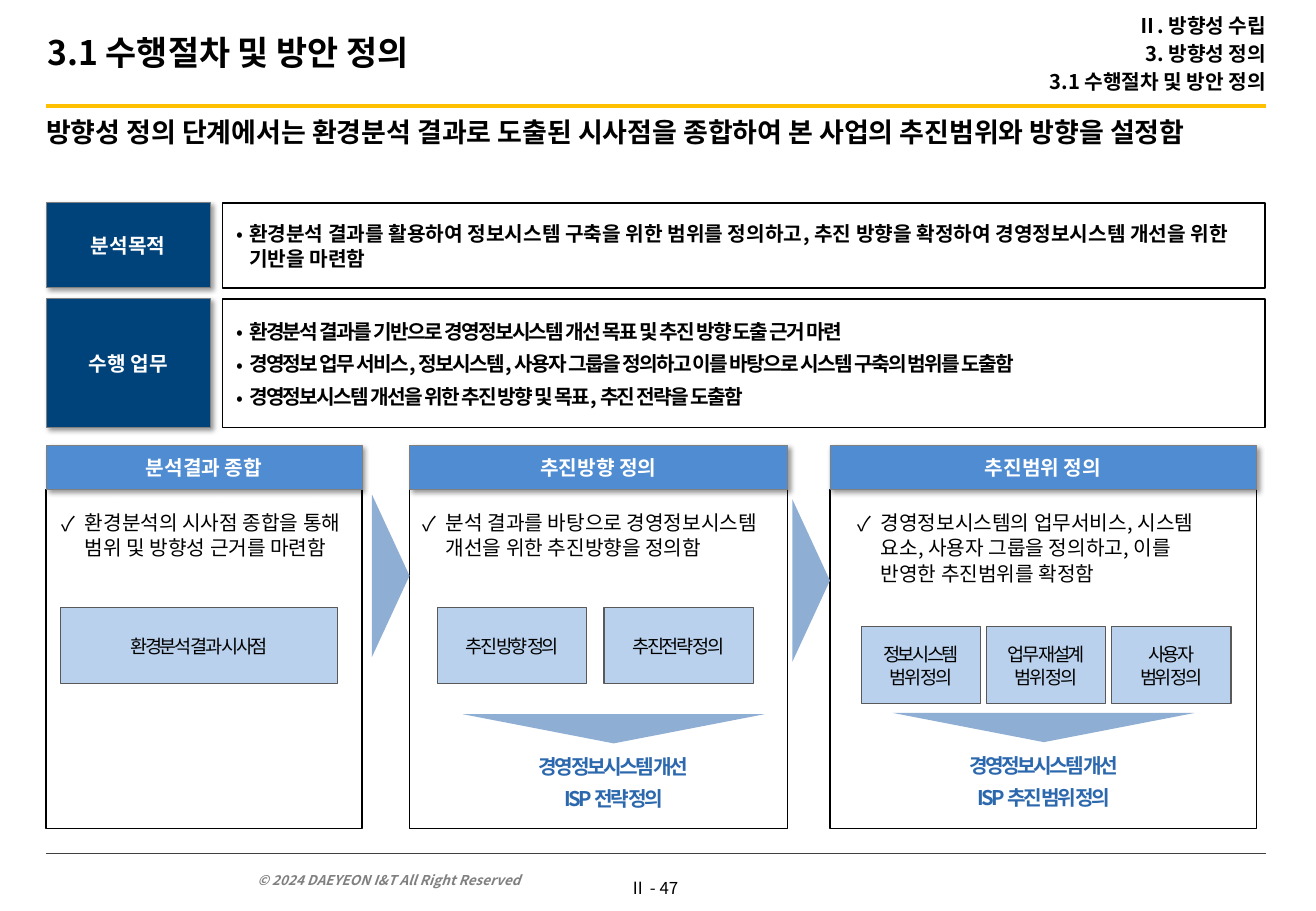
from lxml import etree
from pptx import Presentation
from pptx.dml.color import RGBColor
from pptx.enum.shapes import MSO_CONNECTOR, MSO_SHAPE
from pptx.enum.text import MSO_ANCHOR, PP_ALIGN
from pptx.oxml.ns import qn
from pptx.util import Inches, Pt

RECT, TRIANGLE = MSO_SHAPE.RECTANGLE, MSO_SHAPE.ISOSCELES_TRIANGLE
STRAIGHT = MSO_CONNECTOR.STRAIGHT
TOP, MIDDLE, BOTTOM = MSO_ANCHOR.TOP, MSO_ANCHOR.MIDDLE, MSO_ANCHOR.BOTTOM
LEFT, CENTER, RIGHT, JUSTIFY = PP_ALIGN.LEFT, PP_ALIGN.CENTER, PP_ALIGN.RIGHT, PP_ALIGN.JUSTIFY
FONT = "Noto Sans CJK KR"
COLORS = {"black": "000000", "white": "FFFFFF", "navy": "00437A", "blue": "508CD2",
          "tile": "B9D1ED", "arrow": "8FAED3", "goal": "2C68AD", "gold": "FFC000",
          "gray": "808080", "rule": "404040", "edge": "595959"}

# Page grid in inches
MARGIN, EDGE = 0.38, 10.42
HEAD_TOP, HEAD_HEIGHT = 3.67, 0.36
PANEL_TOP, PANEL_BOTTOM = HEAD_TOP + HEAD_HEIGHT, 6.82
TILE_HEIGHT = 0.63
DOWN_WIDTH, DOWN_HEIGHT = 2.48, 0.24
NEXT_WIDTH, NEXT_HEIGHT = 1.34, 0.31

deck = Presentation()
deck.slide_width, deck.slide_height = Inches(10.83), Inches(7.5)
page = deck.slides.add_slide(deck.slide_layouts[6])


def add_text(area, lines, size=12, color="black", bold=False, italic=False, align=LEFT,
             anchor=TOP, insets=(0.1, 0.05, 0.1, 0.05), spacing=None, before=0,
             tracking=0, bullet=None, indent=0):
    """Fill a (left, top, width, height) area or an existing shape with paragraphs."""
    box = page.shapes.add_textbox(*map(Inches, area)) if isinstance(area, tuple) else area
    frame = box.text_frame
    frame.text = "\n".join(lines)
    frame.word_wrap = True
    frame.vertical_anchor = anchor
    (frame.margin_left, frame.margin_top,
     frame.margin_right, frame.margin_bottom) = map(Inches, insets)
    for number, para in enumerate(frame.paragraphs):
        para.alignment = align
        if spacing:
            para.line_spacing = spacing
        if number and before:
            para.space_before = Pt(before)
        if bullet:
            props = para._p.get_or_add_pPr()
            props.set("marL", str(Inches(indent)))
            props.set("indent", str(-Inches(indent)))
            etree.SubElement(props, qn("a:buFont"), typeface=FONT)
            etree.SubElement(props, qn("a:buChar"), char=bullet)
        for span in para.runs:
            font = span.font
            font.size, font.bold, font.italic, font.name = Pt(size), bold, italic, FONT
            font.color.rgb = RGBColor.from_string(COLORS[color])
            props = span._r.get_or_add_rPr()
            etree.SubElement(props, qn("a:ea"), typeface=FONT)
            if tracking:
                props.set("spc", str(int(tracking * 100)))


def add_block(kind, left, top, width, height, fill=None, line=None, weight=1, shadow=False):
    block = page.shapes.add_shape(kind, *map(Inches, (left, top, width, height)))
    block.shadow.inherit = False
    if fill:
        block.fill.solid()
        block.fill.fore_color.rgb = RGBColor.from_string(COLORS[fill])
    else:
        block.fill.background()
    if line:
        block.line.color.rgb = RGBColor.from_string(COLORS[line])
        block.line.width = Pt(weight)
    else:
        block.line.fill.background()
    if shadow:
        effects = block._element.spPr.find(qn("a:effectLst"))
        outer = etree.SubElement(effects, qn("a:outerShdw"), blurRad=str(Pt(3)),
                                 dist=str(Pt(2)), dir=str(45 * 60000), algn="tl", rotWithShape="0")
        shade = etree.SubElement(outer, qn("a:srgbClr"), val=COLORS["black"])
        etree.SubElement(shade, qn("a:alpha"), val="40000")
    return block


# Header and footer rules
for y, color, weight in ((0.87, "gold", 2.5), (7.03, "rule", 0.5)):
    rule = page.shapes.add_connector(STRAIGHT, *map(Inches, (MARGIN, y, EDGE, y)))
    rule.line.color.rgb = RGBColor.from_string(COLORS[color])
    rule.line.width = Pt(weight)
    etree.SubElement(rule._element.spPr, qn("a:effectLst"))

# Footer
add_text((5.12, 7.18, 0.8, 0.27), ["Ⅱ - 47"], size=10, insets=(0.06, 0.05, 0.06, 0.05))
add_text((2.02, 7.09, 3.02, 0.27), ["© 2024 DAEYEON I&T All Right Reserved"], size=8,
         color="gray", bold=True, italic=True, anchor=BOTTOM)

# Title, breadcrumb and key message
add_text((0.39, 0, 5.03, 0.86), ["3.1 수행절차 및 방안 정의"], size=20, bold=True,
         anchor=MIDDLE, insets=(0, 0.05, 0.1, 0.05))
add_text((5.42, 0, 5, 0.88), ["Ⅱ. 방향성 수립", "3. 방향성 정의", "3.1 수행절차 및 방안 정의"],
         bold=True, align=RIGHT, anchor=MIDDLE, insets=(0, 0.05, 0, 0.05), before=2.4)
add_text((MARGIN, 0.95, EDGE - MARGIN, 0.68),
         ["방향성 정의 단계에서는 환경분석 결과로 도출된 시사점을 종합하여 본 사업의 추진범위와 방향을 설정함"],
         size=16, bold=True, align=JUSTIFY, insets=(0, 0, 0, 0))

# Purpose and task rows
summary_rows = [
    ("분석목적", 1.67, 0.7, 0,
     ["환경분석 결과를 활용하여 정보시스템 구축을 위한 범위를 정의하고, 추진 방향을 확정하여 경영정보시스템 개선을 위한 기반을 마련함"]),
    ("수행 업무", 2.46, 1.06, -1,
     ["환경분석 결과를 기반으로 경영정보시스템 개선 목표 및 추진 방향 도출 근거 마련",
      "경영정보 업무 서비스, 정보시스템, 사용자 그룹을 정의하고 이를 바탕으로 시스템 구축의 범위를 도출함",
      "경영정보시스템 개선을 위한 추진 방향 및 목표, 추진 전략을 도출함"]),
]
for label, top, height, tracking, points in summary_rows:
    tag = add_block(RECT, MARGIN, top, 1.35, height, "navy", "gray", 0.5, shadow=True)
    add_text(tag, [label], color="white", bold=True, align=CENTER, anchor=MIDDLE)
    body = add_block(RECT, 1.83, top, 8.58, height, line="black")
    add_text(body, points, bold=True, anchor=MIDDLE, insets=(0.12, 0.08, 0.04, 0.08),
             spacing=1.05, before=4.2, tracking=tracking, bullet="•", indent=0.1)

# Three process stages
stages = [
    {"head": "분석결과 종합", "left": 0.38, "width": 2.6, "note_at": (0.41, 2.56),
     "note": "환경분석의 시사점 종합을 통해 범위 및 방향성 근거를 마련함",
     "tiles": [["환경분석 결과 시사점"]], "tile_grid": (0.5, 5, 2.28, 0)},
    {"head": "추진방향 정의", "left": 3.37, "width": 3.11, "note_at": (3.38, 3.1),
     "note": "분석 결과를 바탕으로 경영정보시스템 개선을 위한 추진방향을 정의함",
     "tiles": [["추진 방향 정의"], ["추진전략 정의"]], "tile_grid": (3.6, 5, 1.23, 0.14),
     "arrow_middle": 4.74, "goal_at": (3.81, 5.88),
     "goal": ["경영정보시스템 개선", "ISP 전략 정의"]},
    {"head": "추진범위 정의", "left": 6.83, "width": 3.51, "note_at": (6.96, 3.27),
     "note": "경영정보시스템의 업무서비스, 시스템 요소, 사용자 그룹을 정의하고, 이를 반영한 추진범위를 확정함",
     "tiles": [["정보시스템", "범위 정의"], ["업무 재설계", "범위 정의"], ["사용자", "범위 정의"]],
     "tile_grid": (7.09, 5.16, 0.98, 0.05),
     "arrow_middle": 4.78, "goal_at": (7.35, 5.87),
     "goal": ["경영정보시스템 개선", "ISP 추진 범위 정의"]},
]
for stage in stages:
    left, width = stage["left"], stage["width"]
    add_block(RECT, left, PANEL_TOP, width, PANEL_BOTTOM - PANEL_TOP, line="black")
    head = add_block(RECT, left, HEAD_TOP, width, HEAD_HEIGHT, "blue", "gray", 0.5, shadow=True)
    add_text(head, [stage["head"]], color="white", bold=True, align=CENTER, anchor=MIDDLE)
    note_left, note_width = stage["note_at"]
    add_text((note_left, 4.14, note_width, 0.78), [stage["note"]], spacing=1.05,
             bullet="✓", indent=0.19)

    # Evenly spaced tiles
    tile_left, tile_top, tile_width, gap = stage["tile_grid"]
    for column, lines in enumerate(stage["tiles"]):
        tile = add_block(RECT, tile_left + column * (tile_width + gap), tile_top,
                         tile_width, TILE_HEIGHT, "tile", "edge", 0.75)
        add_text(tile, lines, size=11, align=CENTER, anchor=MIDDLE, insets=(0.04,) * 4,
                 spacing=1.05, tracking=-1.5)

    # Arrow from the previous stage, and the goal below the tiles
    if "goal" in stage:
        arrow = add_block(TRIANGLE, left - (NEXT_HEIGHT + NEXT_WIDTH) / 2,
                          stage["arrow_middle"] - NEXT_HEIGHT / 2,
                          NEXT_WIDTH, NEXT_HEIGHT, "arrow")
        arrow.rotation = 90
        goal_left, goal_top = stage["goal_at"]
        pointer = add_block(TRIANGLE, goal_left, goal_top, DOWN_WIDTH, DOWN_HEIGHT, "arrow")
        pointer.rotation = 180
        add_text((goal_left, goal_top + 0.27, DOWN_WIDTH, 0.6), stage["goal"], color="goal",
                 bold=True, align=CENTER, spacing=1.05, before=4.2, tracking=-1.5)

deck.save("out.pptx")
